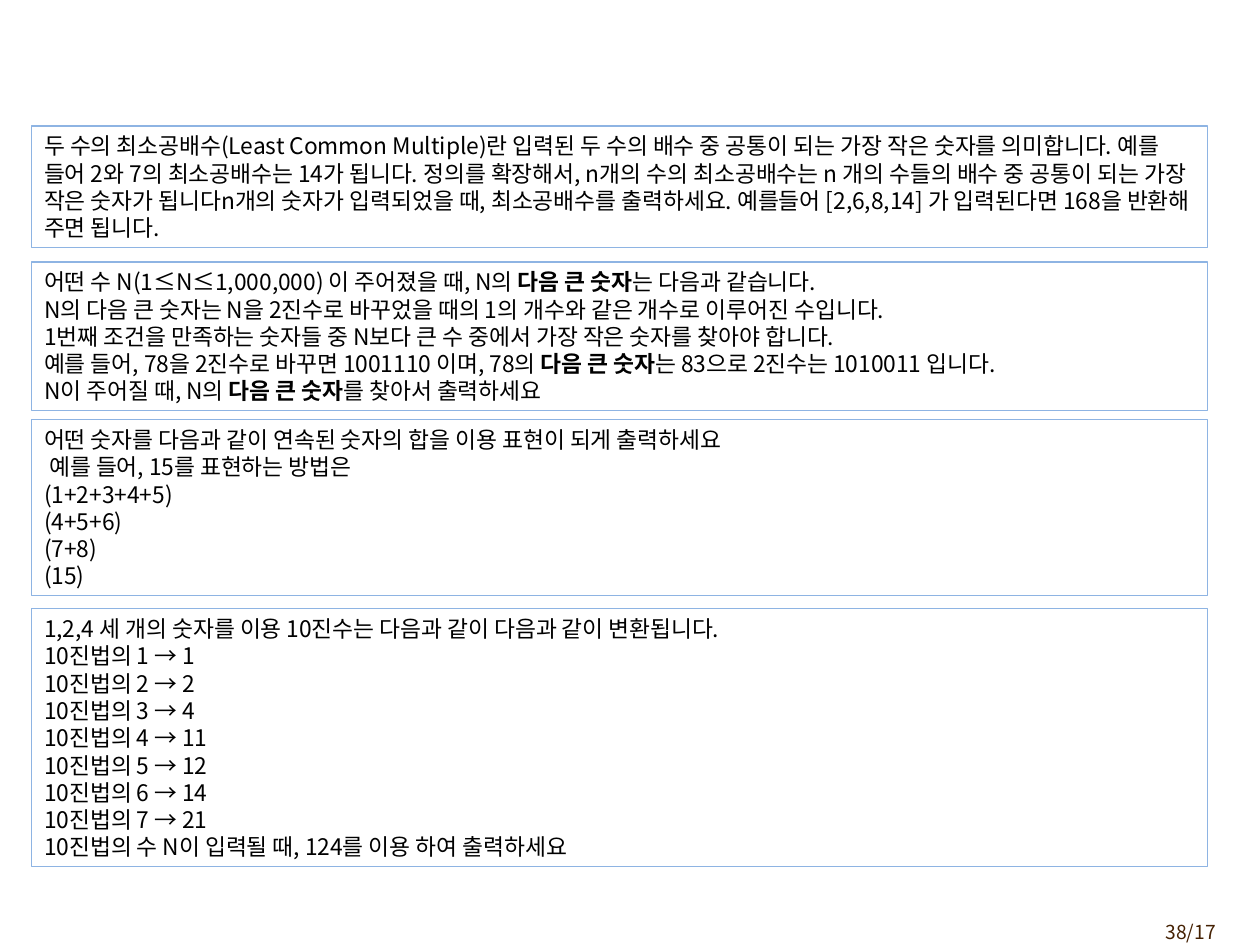
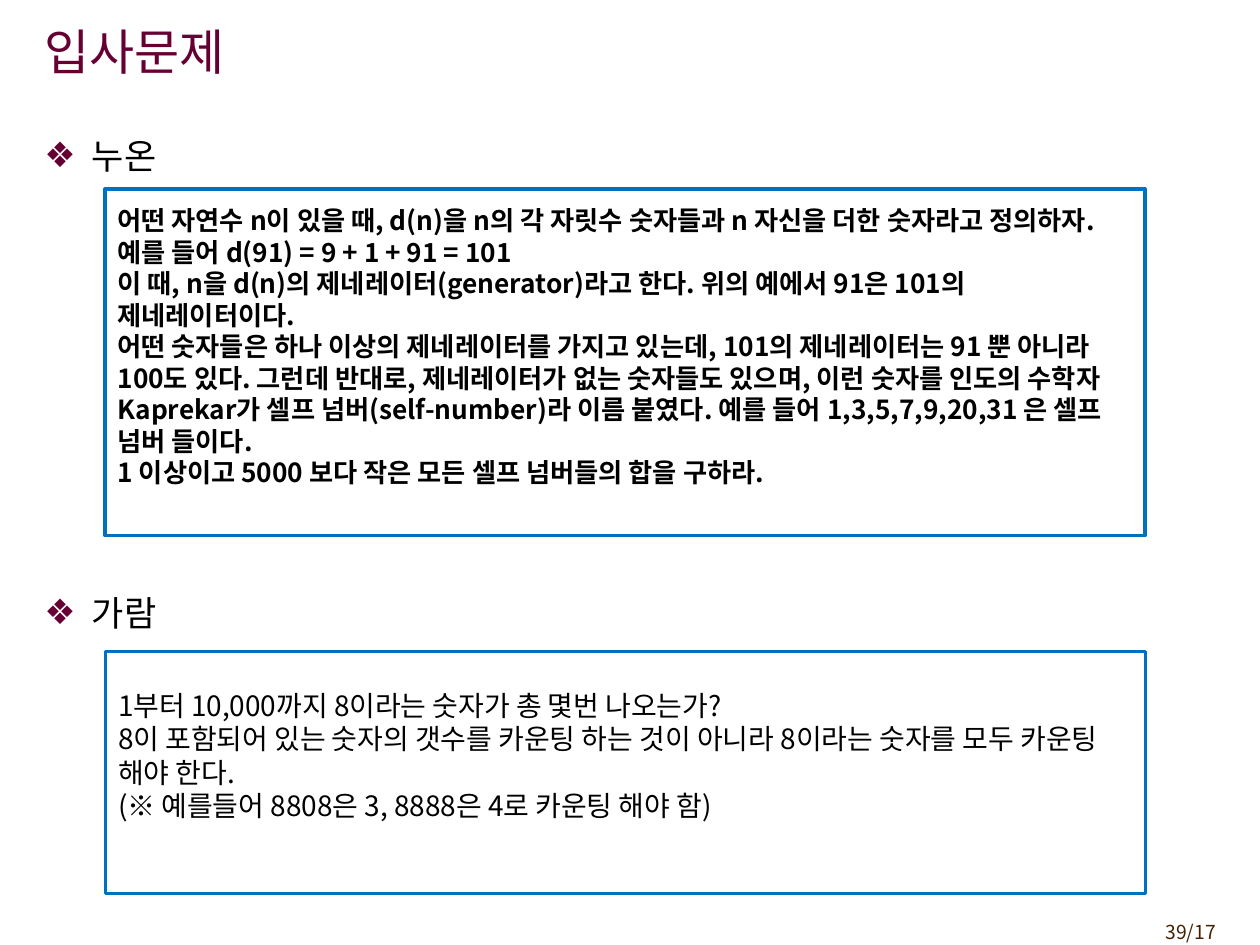
from lxml.etree import SubElement
from pptx import Presentation
from pptx.dml.color import RGBColor
from pptx.enum.shapes import MSO_SHAPE as Shape
from pptx.enum.text import MSO_ANCHOR as Anchor, MSO_AUTO_SIZE as Fit, PP_ALIGN as Align
from pptx.oxml.ns import qn
from pptx.util import Cm, Pt

FONT = "Noto Sans CJK KR"
BLACK = RGBColor(0x00, 0x00, 0x00)
WINE = RGBColor(0x66, 0x00, 0x33)
BROWN = RGBColor(0x45, 0x21, 0x03)
SKY = RGBColor(0x8E, 0xB4, 0xE3)
BLUE = RGBColor(0x00, 0x70, 0xC0)
LEAD = 1.2  # line height in ems
SMALL = 13  # text size of the puzzle list

# Puzzles: top (cm), line count, paragraphs; *stars* mark bold words
PUZZLES = [
    (2.54, 4, [
        "두 수의 최소공배수(Least Common Multiple)란 입력된 두 수의 배수 중 공통이 되는 "
        "가장 작은 숫자를 의미합니다. 예를 들어 2와 7의 최소공배수는 14가 됩니다. "
        "정의를 확장해서, n개의 수의 최소공배수는 n 개의 수들의 배수 중 공통이 되는 "
        "가장 작은 숫자가 됩니다n개의 숫자가 입력되었을 때, 최소공배수를 출력하세요. "
        "예를들어 [2,6,8,14] 가 입력된다면 168을 반환해 주면 됩니다."]),
    (5.28, 5, [
        "어떤 수 N(1≤N≤1,000,000) 이 주어졌을 때, N의 *다음 큰 숫자*는 다음과 같습니다.",
        "N의 다음 큰 숫자는 N을 2진수로 바꾸었을 때의 1의 개수와 같은 개수로 이루어진 수입니다.",
        "1번째 조건을 만족하는 숫자들 중 N보다 큰 수 중에서 가장 작은 숫자를 찾아야 합니다.",
        "예를 들어, 78을 2진수로 바꾸면 1001110 이며, 78의 *다음 큰 숫자*는 83으로 "
        "2진수는 1010011 입니다.\nN이 주어질 때, N의 *다음 큰 숫자*를 찾아서 출력하세요"]),
    (8.46, 6, [
        "어떤 숫자를 다음과 같이 연속된 숫자의 합을 이용 표현이 되게 출력하세요",
        " 예를 들어, 15를 표현하는 방법은\n(1+2+3+4+5)\n(4+5+6)\n(7+8)\n(15)"]),
    (12.27, 9, [
        "1,2,4 세 개의 숫자를 이용 10진수는 다음과 같이 다음과 같이 변환됩니다.",
        *(f"10진법의 {num} → {code}"
          for num, code in enumerate([1, 2, 4, 11, 12, 14, 21], 1)),
        "10진법의 수 N이 입력될 때, 124를 이용 하여 출력하세요"]),
]

SELF = [
    "어떤 자연수 n이 있을 때, d(n)을 n의 각 자릿수 숫자들과 n 자신을 더한 숫자라고 정의하자.",
    "예를 들어 d(91) = 9 + 1 + 91 = 101",
    "이 때, n을 d(n)의 제네레이터(generator)라고 한다. 위의 예에서 91은 101의 제네레이터이다.",
    "어떤 숫자들은 하나 이상의 제네레이터를 가지고 있는데, 101의 제네레이터는 91 뿐 아니라 "
    "100도 있다. 그런데 반대로, 제네레이터가 없는 숫자들도 있으며, 이런 숫자를 인도의 수학자 "
    "Kaprekar가 셀프 넘버(self-number)라 이름 붙였다. 예를 들어 1,3,5,7,9,20,31 은 셀프 넘버 들이다.",
    "1 이상이고 5000 보다 작은 모든 셀프 넘버들의 합을 구하라.",
]
EIGHTS = [
    "1부터 10,000까지 8이라는 숫자가 총 몇번 나오는가?",
    "8이 포함되어 있는 숫자의 갯수를 카운팅 하는 것이 아니라 8이라는 숫자를 모두 카운팅 해야 한다.\n"
    "(※ 예를들어 8808은 3, 8888은 4로 카운팅 해야 함)",
]


def style(para, size, color=BLACK, bold=False, align=Align.LEFT):
    para.alignment = align
    para.line_spacing = Pt(size * LEAD)
    para.space_before = Pt(0)
    font = para.font
    font.name, font.size, font.bold = FONT, Pt(size), bold
    font.color.rgb = color
    props = para._p.pPr.find(qn("a:defRPr"))
    SubElement(props, qn("a:ea"), typeface=FONT)


def add_runs(para, text):
    for num, part in enumerate(text.split("*")):
        for row, line in enumerate(part.split("\n")):
            if row:
                para.add_line_break()
            run = para.add_run()
            run.text = line
            if num % 2:
                run.font.bold = True


def fill(frame, texts, size, **look):
    frame.word_wrap = True
    frame.auto_size = Fit.NONE
    for num, text in enumerate(texts):
        para = frame.add_paragraph() if num else frame.paragraphs[0]
        add_runs(para, text)
        style(para, size, **look)


def place(shape, box):
    shape.left, shape.top, shape.width, shape.height = map(Cm, box)


def add_box(slide, box, texts, size, line, width, anchor, bold=False):
    rect = slide.shapes.add_shape(Shape.RECTANGLE, *map(Cm, box))
    rect.shadow.inherit = False
    rect.fill.background()
    rect.line.color.rgb = line
    rect.line.width = Pt(width)
    rect.text_frame.vertical_anchor = anchor
    fill(rect.text_frame, texts, size, bold=bold)
    return rect


def add_page(slide, text):
    note = slide.shapes.add_textbox(Cm(22.66), Cm(18.42), Cm(2.1), Cm(0.74))
    fill(note.text_frame, [text], 11, color=BROWN, align=Align.RIGHT)


def add_title(slide, box, text):
    title = slide.shapes.title
    place(title, box)
    title.text_frame.vertical_anchor = Anchor.MIDDLE
    fill(title.text_frame, [text], 28, color=WINE)


def add_heads(slide, box, heads, gap):
    body = slide.placeholders[1]
    place(body, box)
    frame = body.text_frame
    frame.vertical_anchor = Anchor.TOP
    for num, head in enumerate(heads):
        para = frame.add_paragraph() if num else frame.paragraphs[0]
        props = para._p.get_or_add_pPr()
        props.set("marL", str(Cm(0.96)))
        props.set("indent", str(-Cm(0.96)))
        tint = SubElement(props, qn("a:buClr"))
        SubElement(tint, qn("a:srgbClr"), val=str(WINE))
        SubElement(props, qn("a:buChar"), char="❖")
        add_runs(para, head)
        style(para, 20)
        if num:
            para.space_before = Pt(gap)
    frame.auto_size = Fit.NONE


def puzzle_slide(deck):
    slide = deck.slides.add_slide(deck.slide_layouts[6])
    add_page(slide, "38/17")
    for top, lines, texts in PUZZLES:
        high = Pt(lines * SMALL * LEAD).cm + 0.25  # lines plus insets
        add_box(slide, (0.64, top, 23.7, high), texts, SMALL, SKY, 0.75, Anchor.TOP)


def job_slide(deck):
    slide = deck.slides.add_slide(deck.slide_layouts[1])
    add_page(slide, "39/17")
    add_heads(slide, (0.64, 2.59, 24.13, 15.88), ["누온", "가람"], 237)
    add_title(slide, (0.64, 0.23, 21, 1.6), "입사문제")
    for box, texts, size, bold in [
        ((2.12, 3.81, 20.96, 6.99), SELF, 15, True),
        ((2.13, 13.13, 20.96, 4.88), EIGHTS, 16, False),
    ]:
        rect = add_box(slide, box, texts, size, BLUE, 2, Anchor.MIDDLE, bold)
        # One line of room below lifts the centred text
        rect.text_frame.margin_bottom = Cm(0.13) + Pt(size * LEAD)


def main():
    deck = Presentation()
    deck.slide_width, deck.slide_height = Cm(25.4), Cm(19.05)
    puzzle_slide(deck)
    job_slide(deck)
    deck.save("out.pptx")


if __name__ == "__main__":
    main()
